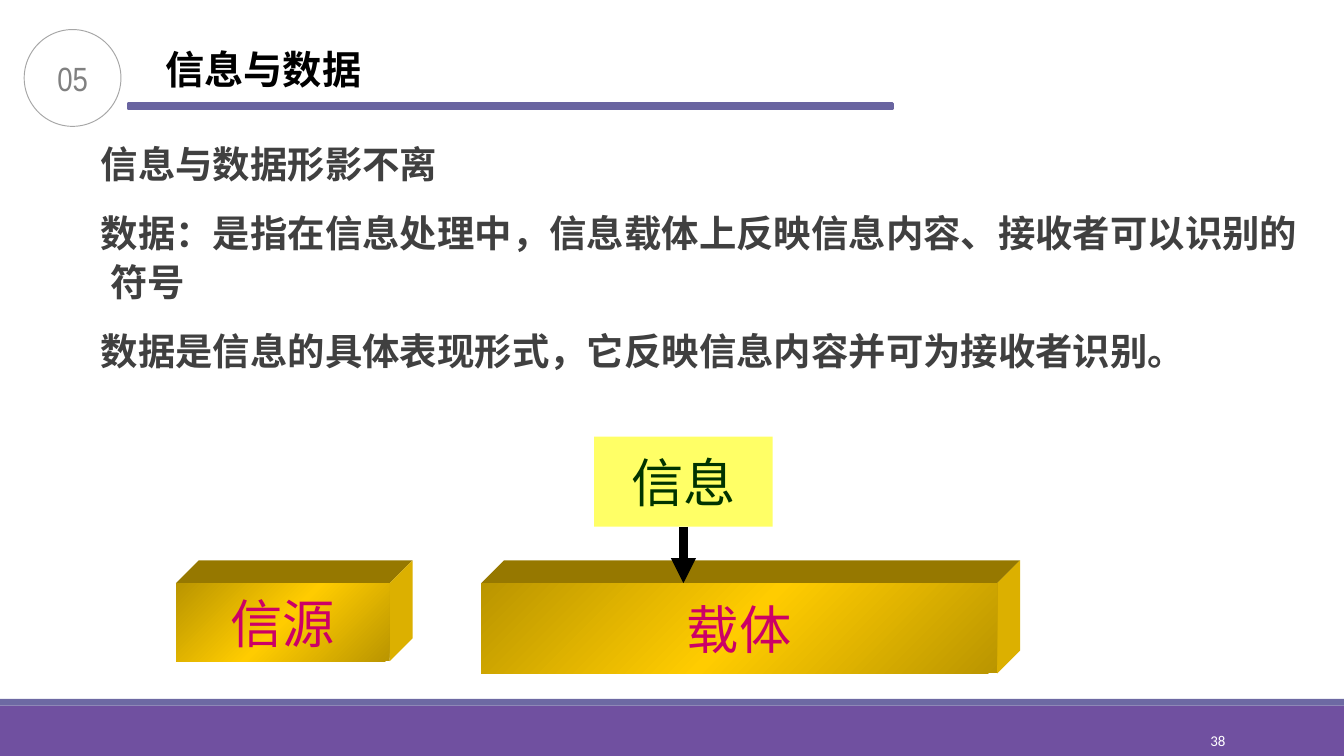
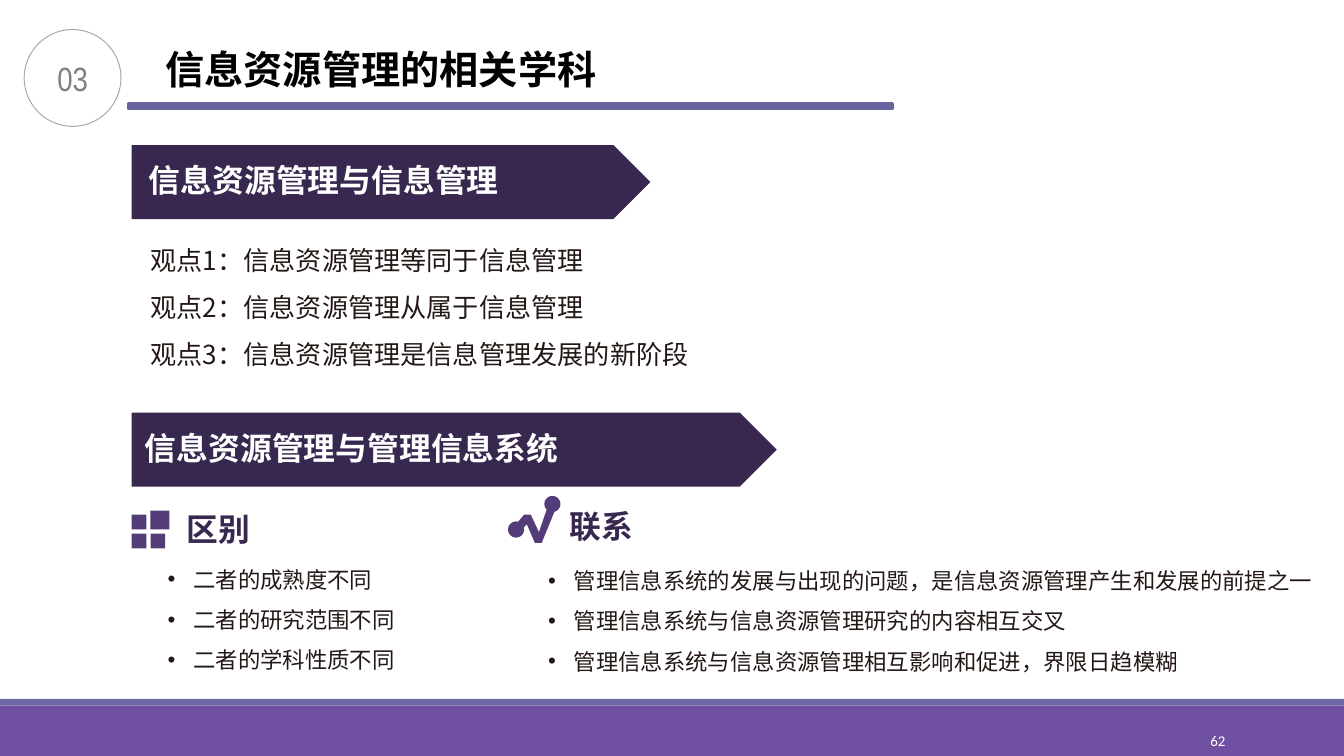
from copy import deepcopy
from dataclasses import dataclass
from math import cos, radians, sin

from lxml import etree
from pptx import Presentation
from pptx.dml.color import RGBColor
from pptx.enum.shapes import MSO_CONNECTOR, MSO_SHAPE
from pptx.enum.text import MSO_ANCHOR, MSO_AUTO_SIZE, PP_ALIGN
from pptx.oxml.ns import qn
from pptx.util import Inches, Pt

RECT, OVAL, PENTAGON = MSO_SHAPE.RECTANGLE, MSO_SHAPE.OVAL, MSO_SHAPE.PENTAGON
STRAIGHT = MSO_CONNECTOR.STRAIGHT
LEFT, CENTER, RIGHT, JUSTIFY = PP_ALIGN.LEFT, PP_ALIGN.CENTER, PP_ALIGN.RIGHT, PP_ALIGN.JUSTIFY
TOP, MIDDLE = MSO_ANCHOR.TOP, MSO_ANCHOR.MIDDLE
GROW, FIXED = MSO_AUTO_SIZE.SHAPE_TO_FIT_TEXT, MSO_AUTO_SIZE.NONE
BOTTOM_SIDE = 2
TITLE_ONLY = 5
WIDE_INSETS, TIGHT_INSETS, FLUSH_INSETS = (0.1, 0.05), (0.07, 0.04), (0, 0.04)


@dataclass(frozen=True)
class Theme:
    # Colours
    white: str = "FFFFFF"
    black: str = "000000"
    footer: str = "7050A0"
    footer_edge: str = "6D69A3"
    rule: str = "6964A0"
    ring: str = "A6A6A6"
    number: str = "808080"
    body: str = "404040"
    ink: str = "231815"
    banner: str = "382850"
    icon: str = "543C78"
    note: str = "FFFF66"
    note_text: str = "003300"
    gold: str = "FFCC00"
    gold_dark: str = "BA9500"
    gold_top: str = "967800"
    gold_side: str = "DCB000"
    box_text: str = "CC0066"
    # Fonts
    cjk: str = "Noto Sans CJK SC"
    latin: str = "Calibri"
    narrow: str = "Arial Narrow"
    diagram: str = "Arial"
    # Type sizes
    title_size: int = 21
    heading_size: int = 17
    number_size: int = 18
    lead_size: int = 20
    view_size: int = 14
    bullet_size: int = 12
    box_size: int = 28
    page_size: int = 8


T = Theme()


def rgb(value):
    return RGBColor.from_string(value)


def inches(values):
    return [Inches(v) for v in values]


# Text
def add_bullet(p):
    pPr = p._p.get_or_add_pPr()
    etree.SubElement(pPr, qn("a:buFont")).set("typeface", T.diagram)
    etree.SubElement(pPr, qn("a:buChar")).set("char", "•")


def write(shape, lines, size, color, font=T.cjk, bold=False, align=LEFT, anchor=TOP,
          insets=WIDE_INSETS, wrap=True, auto_size=FIXED, hang=0, bullet=False, **spacing):
    tf = shape.text_frame
    x, y = inches(insets)
    frame = {"margin_left": x, "margin_right": x, "margin_top": y, "margin_bottom": y,
             "word_wrap": wrap, "vertical_anchor": anchor, "auto_size": auto_size}
    for name, value in frame.items():
        setattr(tf, name, value)
    for i, line in enumerate(lines):
        p = tf.paragraphs[0] if i == 0 else tf.add_paragraph()
        for name, value in {"alignment": align, **spacing}.items():
            if not (i == 0 and name == "space_before"):
                setattr(p, name, value)
        if hang:
            pPr = p._p.get_or_add_pPr()
            pPr.set("marL", str(Inches(hang)))
            pPr.set("indent", str(-Inches(hang)))
        if bullet:
            add_bullet(p)
        r = p.add_run()
        r.text = line
        for name, value in {"size": Pt(size), "bold": bold, "name": font}.items():
            setattr(r.font, name, value)
        r.font.color.rgb = rgb(color)
        east_asian = etree.SubElement(r._r.get_or_add_rPr(), qn("a:ea"))
        east_asian.set("typeface", T.cjk)


def add_text(shapes, at, lines, size, color, **style):
    write(shapes.add_textbox(*inches(at)), lines, size, color, **style)


# Shapes
def paint(shape, fill=None, line=None, weight=1.0):
    shape.shadow.inherit = False
    if fill:
        shape.fill.solid()
        shape.fill.fore_color.rgb = rgb(fill)
    else:
        shape.fill.background()
    if line:
        shape.line.color.rgb = rgb(line)
        shape.line.width = Pt(weight)
    else:
        shape.line.fill.background()
    return shape


def add_shape(shapes, kind, at, fill=None, line=None, weight=1.0):
    return paint(shapes.add_shape(kind, *inches(at)), fill, line, weight)


def add_polygon(shapes, points, fill):
    start, *rest = [tuple(inches(point)) for point in points]
    builder = shapes.build_freeform(*start)
    builder.add_line_segments(rest, close=True)
    return paint(builder.convert_to_shape(), fill)


def fill_gold(shape):
    shape.fill.gradient()
    shape.fill.gradient_angle = 315
    stop_list = shape.element.spPr.find(qn("a:gradFill")).find(qn("a:gsLst"))
    stop_list.insert(1, deepcopy(stop_list[0]))
    stops = ((0, T.gold_dark), (0.5, T.gold), (1, T.gold_dark))
    for stop, (position, color) in zip(shape.fill.gradient_stops, stops):
        stop.position = position
        stop.color.rgb = rgb(color)


def add_gold_block(shapes, at, label, depth=0.17):
    x, y, w, h = at
    right, bottom = x + w, y + h
    add_polygon(shapes, [(x, y), (x + depth, y - depth), (right + depth, y - depth), (right, y)],
                T.gold_top)
    add_polygon(shapes, [(right, y), (right + depth, y - depth),
                         (right + depth, bottom - depth), (right, bottom)], T.gold_side)
    front = add_shape(shapes, RECT, at)
    fill_gold(front)
    write(front, [label], T.box_size, T.box_text, font=T.diagram,
          align=CENTER, anchor=MIDDLE, wrap=False)


def add_arrow(shapes, source, drop):
    x = source.left + source.width // 2
    y = source.top + source.height
    arrow = shapes.add_connector(STRAIGHT, x, y, x, y + Inches(drop))
    arrow.begin_connect(source, BOTTOM_SIDE)
    arrow.line.color.rgb = rgb(T.black)
    arrow.line.width = Pt(4.5)
    etree.SubElement(arrow.line._get_or_add_ln(), qn("a:tailEnd")).set("type", "triangle")
    etree.SubElement(arrow.element.spPr, qn("a:effectLst"))


def add_banner(shapes, at, text, text_left, text_width):
    group = shapes.add_group_shape().shapes
    add_shape(group, PENTAGON, at, T.banner)
    add_text(group, (text_left, at[1] + 0.07, text_width, 0.39), [text],
             T.heading_size, T.white, bold=True, auto_size=GROW)


def add_heading(shapes, left, top, text):
    add_text(shapes, (left, top, 0.94, 0.39), [text], T.heading_size, T.banner,
             bold=True, auto_size=GROW)


def add_bullets(shapes, at, lines, align=LEFT):
    add_text(shapes, at, lines, T.bullet_size, T.ink, align=align, auto_size=GROW,
             hang=0.19, bullet=True, line_spacing=1.5)


# Icons
def add_tiles_icon(shapes):
    group = shapes.add_group_shape().shapes
    tiles = ((0.98, 3.83, 0.11), (1.12, 3.8, 0.14), (0.98, 3.97, 0.11), (1.12, 3.97, 0.11))
    for x, y, side in tiles:
        add_shape(group, RECT, (x, y, side, side), T.icon)


def arc(cx, cy, radius, start, end, step=15):
    return [(cx + radius * cos(radians(a)), cy - radius * sin(radians(a)))
            for a in range(start, end + 1, step)]


def add_trend_icon(shapes):
    upper_knob = arc(4.11, 3.75, 0.06, -75, 225)
    upper_edge = [(4.01, 3.96), (3.95, 3.83), (3.9, 3.83)]
    lower_knob = arc(3.84, 3.94, 0.06, 75, 375)
    lower_edge = [(3.92, 3.9), (3.98, 4.04), (4.03, 4.04)]
    add_polygon(shapes, upper_knob + upper_edge + lower_knob + lower_edge, T.icon)


# Shared frame
def add_footer_bands(s, layout):
    bands = (((0, 5.25, 10, 0.38), T.footer), ((0, 5.2, 10, 0.05), T.footer_edge))
    for at, color in bands:
        layout.shapes.element.append(add_shape(s.shapes, RECT, at, color).element)


def add_frame(s, number, title, title_width, page):
    add_text(s.shapes, (8.11, 5.36, 1.08, 0.3), [page], T.page_size, T.white,
             font=T.latin, align=RIGHT, anchor=MIDDLE, insets=TIGHT_INSETS)
    add_shape(s.shapes, RECT, (0.95, 0.77, 5.69, 0.04), T.rule, T.rule, 1.25)
    ring = add_shape(s.shapes, OVAL, (0.18, 0.22, 0.72, 0.72), line=T.ring, weight=0.5)
    write(ring, [number], T.number_size, T.number, font=T.narrow,
          align=CENTER, anchor=MIDDLE, insets=TIGHT_INSETS)
    sp = s.shapes.title
    sp.left, sp.top, sp.width, sp.height = inches((1.16, 0.3, title_width, 0.43))
    write(sp, [title], T.title_size, T.black, bold=True, insets=TIGHT_INSETS,
          wrap=False, auto_size=GROW)


# Slides
def build_data_slide(s):
    add_frame(s, "05", "信息与数据", 1.63, "38")
    add_text(s.shapes, (0.75, 0.98, 9, 2.47), [
        "信息与数据形影不离",
        "数据：是指在信息处理中，信息载体上反映信息内容、接收者可以识别的符号",
        "数据是信息的具体表现形式，它反映信息内容并可为接收者识别。",
    ], T.lead_size, T.body, font=T.latin, bold=True, insets=FLUSH_INSETS, hang=0.07,
        line_spacing=1.1, space_before=Pt(9), space_after=Pt(1.5))

    note = add_shape(s.shapes, RECT, (4.42, 3.25, 1.33, 0.67), T.note)
    write(note, ["信息"], T.box_size, T.note_text, font=T.diagram,
          align=CENTER, anchor=MIDDLE, wrap=False)
    add_gold_block(s.shapes, (3.58, 4.34, 3.84, 0.67), "载体")
    add_gold_block(s.shapes, (1.31, 4.34, 1.59, 0.58), "信源")
    add_arrow(s.shapes, note, 0.42)


def build_disciplines_slide(s):
    add_frame(s, "03", "信息资源管理的相关学科", 3.41, "62")
    add_banner(s.shapes, (0.98, 1.08, 3.86, 0.55), "信息资源管理与信息管理", 1.01, 3.38)
    add_text(s.shapes, (1.02, 1.65, 4.61, 1.16), [
        "观点1：信息资源管理等同于信息管理",
        "观点2：信息资源管理从属于信息管理",
        "观点3：信息资源管理是信息管理发展的新阶段",
    ], T.view_size, T.ink, auto_size=GROW, line_spacing=1.5)

    add_banner(s.shapes, (0.98, 3.07, 4.8, 0.55), "信息资源管理与管理信息系统", 0.98, 4.41)
    add_tiles_icon(s.shapes)
    add_heading(s.shapes, 1.29, 3.74, "区别")
    add_bullets(s.shapes, (1.15, 4.06, 3.54, 1.01),
                ["二者的成熟度不同", "二者的研究范围不同", "二者的学科性质不同"])
    add_trend_icon(s.shapes)
    add_heading(s.shapes, 4.14, 3.72, "联系")
    add_bullets(s.shapes, (3.98, 4.07, 6.02, 1.01), [
        "管理信息系统的发展与出现的问题，是信息资源管理产生和发展的前提之一",
        "管理信息系统与信息资源管理研究的内容相互交叉",
        "管理信息系统与信息资源管理相互影响和促进，界限日趋模糊",
    ], align=JUSTIFY)


def main():
    prs = Presentation()
    prs.slide_width = Inches(10)
    prs.slide_height = prs.slide_width * 9 // 16
    layout = prs.slide_layouts[TITLE_ONLY]
    for i, build in enumerate((build_data_slide, build_disciplines_slide)):
        s = prs.slides.add_slide(layout)
        if i == 0:
            add_footer_bands(s, layout)
        build(s)
    prs.save("out.pptx")


if __name__ == "__main__":
    main()
